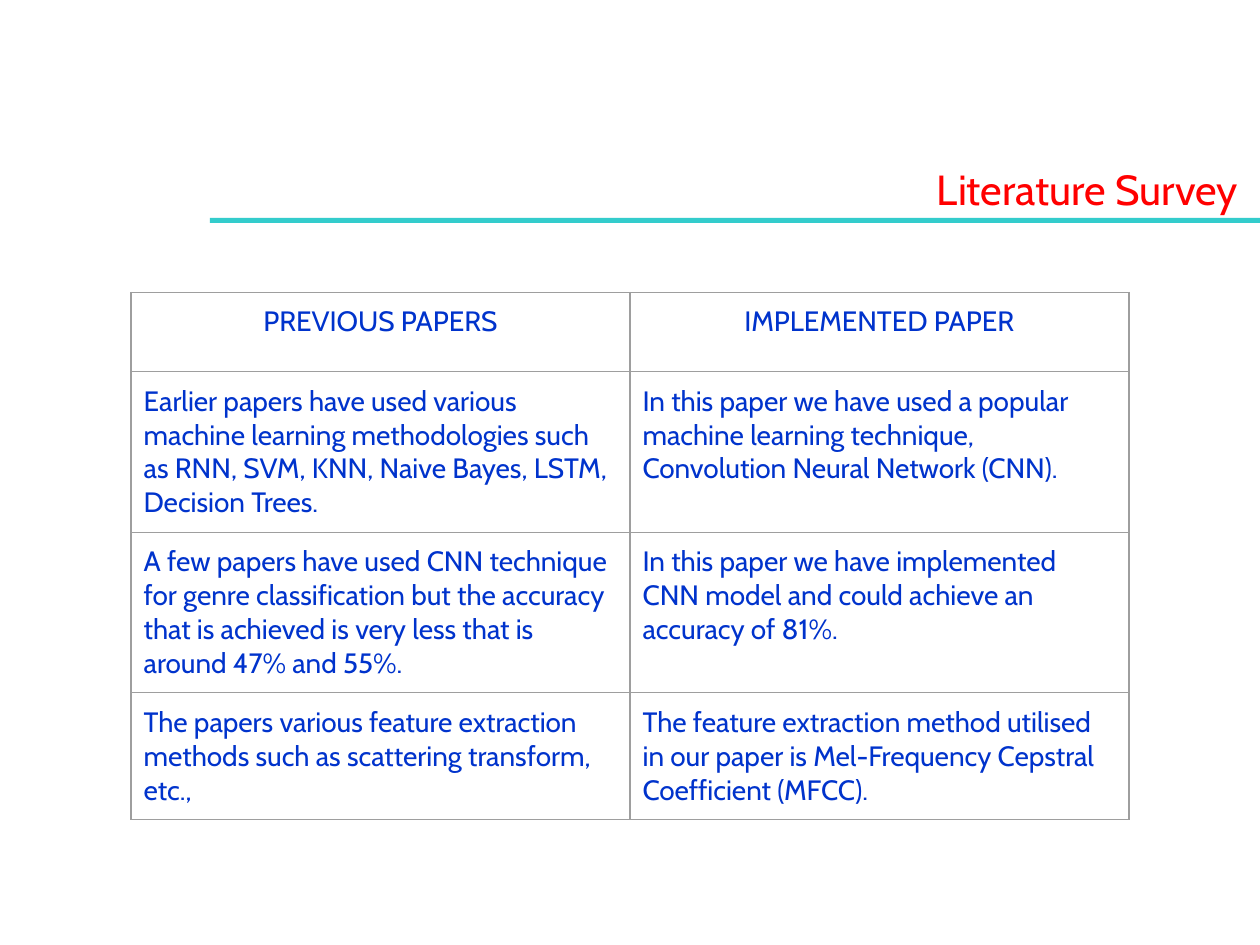
from dataclasses import dataclass

from lxml.etree import SubElement
from pptx import Presentation
from pptx.dml.color import RGBColor
from pptx.enum.shapes import MSO_SHAPE as Shape
from pptx.enum.text import MSO_ANCHOR as Anchor, MSO_AUTO_SIZE as AutoSize, PP_ALIGN as Align
from pptx.oxml.ns import qn
from pptx.util import Inches, Pt

TITLE_ONLY = 5
SURVEY = [
    ("PREVIOUS PAPERS", "IMPLEMENTED PAPER"),
    ("Earlier papers have used various machine learning methodologies such as "
     "RNN, SVM, KNN, Naive Bayes, LSTM, Decision Trees.",
     "In this paper we have used a popular machine learning technique, "
     "Convolution Neural Network (CNN)."),
    ("A few papers have used CNN technique for genre classification but the "
     "accuracy that is achieved is very less that is around 47% and 55%.",
     "In this paper we have implemented CNN model and could achieve an "
     "accuracy of 81%."),
    ("The papers various feature extraction methods such as scattering "
     "transform, etc.,",
     "The feature extraction method utilised in our paper is Mel-Frequency "
     "Cepstral Coefficient (MFCC)."),
]


@dataclass(frozen=True)
class Theme:
    font: str = "Cabin"
    title_size: int = 24
    cell_size: int = 16
    title_color: str = "FF0000"
    text_color: str = "0033CC"
    rule_color: str = "33CCCC"
    border_color: str = "9E9E9E"
    border_width: float = 0.75


THEME = Theme()


def format_text(text_frame, size, color, alignment):
    for paragraph in text_frame.paragraphs:
        paragraph.alignment = alignment
        for run in paragraph.runs:
            run.font.name = THEME.font
            run.font.size = Pt(size)
            run.font.color.rgb = RGBColor.from_string(color)


def place(shape, left, top, width, height):
    shape.left, shape.top = Inches(left), Inches(top)
    shape.width, shape.height = Inches(width), Inches(height)


def set_title(slide, text):
    title = slide.shapes.title
    place(title, 2.92, 1.25, 7.08, 0.5)
    frame = title.text_frame
    frame.text = text
    frame.auto_size = AutoSize.NONE
    frame.vertical_anchor = Anchor.MIDDLE
    format_text(frame, THEME.title_size, THEME.title_color, Align.RIGHT)


def add_title_rule(slide, slide_width):
    # The rule covers the right five sixths of the slide
    rule = slide.shapes.add_shape(
        Shape.RECTANGLE, slide_width // 6, Inches(1.73),
        slide_width * 5 // 6, Inches(0.04))
    rule.shadow.inherit = False
    rule.fill.solid()
    rule.fill.fore_color.rgb = RGBColor.from_string(THEME.rule_color)
    rule.line.fill.background()


def add_borders(cell):
    properties = cell._tc.get_or_add_tcPr()
    for side in ("lnL", "lnR", "lnT", "lnB"):
        line = SubElement(properties, qn(f"a:{side}"), w=str(Pt(THEME.border_width)))
        fill = SubElement(line, qn("a:solidFill"))
        SubElement(fill, qn("a:srgbClr"), val=THEME.border_color)


def format_cell(cell, text, alignment):
    cell.text = text
    cell.margin_left = cell.margin_right = Inches(0.1)
    cell.margin_top = cell.margin_bottom = Inches(0.1)
    cell.vertical_anchor = Anchor.TOP
    add_borders(cell)
    cell.fill.background()
    format_text(cell.text_frame, THEME.cell_size, THEME.text_color, alignment)


def add_survey_table(slide, rows, slide_width):
    column_width, row_height = Inches(3.96), Inches(0.63)
    columns = len(rows[0])
    width = column_width * columns
    table = slide.shapes.add_table(
        len(rows), columns, (slide_width - width) // 2, Inches(2.32),
        width, row_height * len(rows)).table
    table.first_row = table.horz_banding = False
    for row_index, row in enumerate(rows):
        alignment = Align.LEFT if row_index else Align.CENTER
        for column_index, text in enumerate(row):
            format_cell(table.cell(row_index, column_index), text, alignment)


def main():
    presentation = Presentation()
    presentation.slide_width, presentation.slide_height = Inches(10), Inches(7.5)
    slide = presentation.slides.add_slide(presentation.slide_layouts[TITLE_ONLY])

    # Heading
    add_title_rule(slide, presentation.slide_width)
    set_title(slide, "Literature Survey ")

    # Comparison of papers
    add_survey_table(slide, SURVEY, presentation.slide_width)
    presentation.save("out.pptx")


if __name__ == "__main__":
    main()
